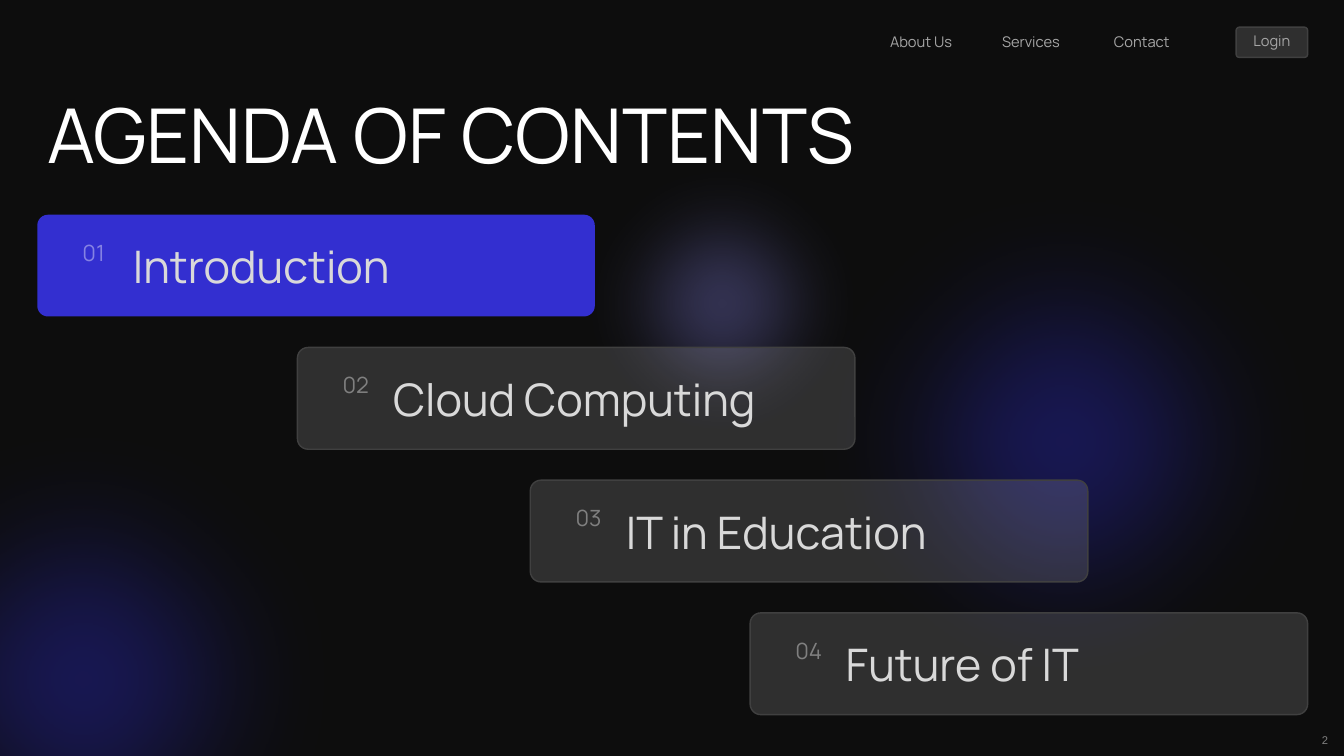
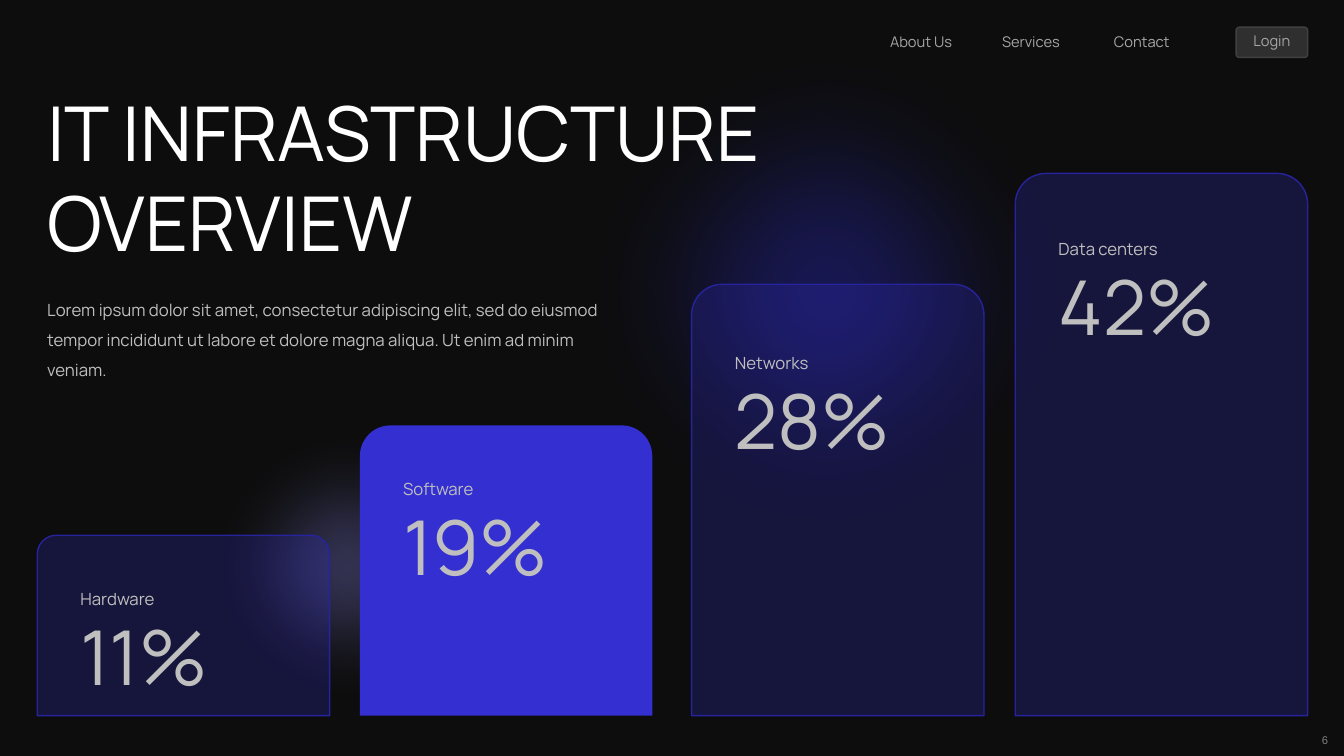
from lxml.etree import SubElement
from pptx import Presentation
from pptx.dml.color import RGBColor
from pptx.enum.shapes import MSO_SHAPE
from pptx.enum.text import MSO_AUTO_SIZE, PP_ALIGN
from pptx.oxml.ns import qn
from pptx.util import Inches, Pt

BACKGROUND = RGBColor(0x0D, 0x0D, 0x0D)
WHITE = RGBColor(0xFF, 0xFF, 0xFF)
BLUE = RGBColor(0x33, 0x2F, 0xD0)
DEEP_BLUE = RGBColor(0x26, 0x23, 0x9C)
LAVENDER = RGBColor(0x85, 0x82, 0xE3)
GLASS = RGBColor(0xF2, 0xF2, 0xF2)
GLASS_EDGE = RGBColor(0x40, 0x40, 0x40)
CARD_TEXT = RGBColor(0xD9, 0xD9, 0xD9)
BODY_TEXT = RGBColor(0xBF, 0xBF, 0xBF)
NAV_TEXT = RGBColor(0xA6, 0xA6, 0xA6)
CARD_NUMBER = RGBColor(0x80, 0x80, 0x80)
PAGE_NUMBER = RGBColor(0x7F, 0x7F, 0x7F)

FONT = "Manrope"
MARGIN = 0.37
CORNER = 0.105

CARD_WIDTH, CARD_HEIGHT = 5.53, 1.01
FIRST_CARD_TOP, LAST_CARD_TOP = 2.13, 6.08
BAR_WIDTH, BAR_BOTTOM = 2.9, 7.1


class Deck:
    def __init__(self):
        self.presentation = Presentation()
        self.presentation.slide_width = Inches(13.33)
        self.presentation.slide_height = Inches(7.5)
        self.slide = None

    def start_slide(self, page):
        """Add a slide with the shared background, header and page number."""
        self.slide = self.presentation.slides.add_slide(self.presentation.slide_layouts[6])
        background = self.slide.background.fill
        background.solid()
        background.fore_color.rgb = BACKGROUND

        self.glass_panel(12.26, 0.27, 0.71, 0.3)
        for index, entry in enumerate(("About Us", "Services", "Contact")):
            self.text(entry, 8.73 + 1.11 * index, 0.28, 0.87, 0.29, 10.5, NAV_TEXT)
        self.text("Login", 12.26, 0.27, 0.71, 0.29, 10.5, NAV_TEXT, PP_ALIGN.CENTER)
        self.text(page, 12.4, 7.23, 0.87, 0.24, 8, PAGE_NUMBER, PP_ALIGN.RIGHT, font="Arial")

    def shape(self, preset, left, top, width, height, color, opacity=100,
              edge=None, corners=()):
        shape = self.slide.shapes.add_shape(
            preset, Inches(left), Inches(top), Inches(width), Inches(height))
        for index, corner in enumerate(corners):
            shape.adjustments[index] = corner
        shape.shadow.inherit = False
        shape.fill.solid()
        shape.fill.fore_color.rgb = color
        if opacity < 100:
            fill_color = shape._element.spPr.find(qn("a:solidFill")).find(qn("a:srgbClr"))
            SubElement(fill_color, qn("a:alpha")).set("val", str(opacity * 1000))
        if edge is None:
            shape.line.fill.background()
        else:
            shape.line.color.rgb = edge
            shape.line.width = Pt(1)
        return shape

    def glass_panel(self, left, top, width, height):
        self.shape(MSO_SHAPE.ROUNDED_RECTANGLE, left, top, width, height,
                   GLASS, 15, GLASS_EDGE, [CORNER])

    def glow(self, left, top, size, color, opacity, softness):
        """Draw a translucent disc that fades out towards its rim."""
        disc = self.shape(MSO_SHAPE.OVAL, left, top, size, size, color, opacity)
        effects = disc._element.spPr.find(qn("a:effectLst"))
        SubElement(effects, qn("a:softEdge")).set("rad", str(Pt(softness)))

    def blue_glow(self, left, top):
        self.glow(left, top, 6.23, DEEP_BLUE, 52, 100)

    def lavender_glow(self, left, top):
        self.glow(left, top, 3.58, LAVENDER, 37, 60)

    def text(self, content, left, top, width, height, size, color,
             alignment=PP_ALIGN.LEFT, font=FONT, line_spacing=None):
        frame = self.slide.shapes.add_textbox(
            Inches(left), Inches(top), Inches(width), Inches(height)).text_frame
        frame.word_wrap = True
        frame.auto_size = MSO_AUTO_SIZE.SHAPE_TO_FIT_TEXT
        paragraph = frame.paragraphs[0]
        paragraph.alignment = alignment
        if line_spacing:
            paragraph.line_spacing = line_spacing
        run = paragraph.add_run()
        run.text = content
        run.font.name = font
        run.font.size = Pt(size)
        run.font.color.rgb = color

    def title(self, content, top, width, height):
        self.text(content, MARGIN, top, width, height, 54, WHITE)

    def agenda_card(self, number, left, top, topic, active):
        if active:
            self.shape(MSO_SHAPE.ROUNDED_RECTANGLE, left, top, CARD_WIDTH, CARD_HEIGHT,
                       BLUE, corners=[CORNER])
        else:
            self.glass_panel(left, top, CARD_WIDTH, CARD_HEIGHT)
        self.text(topic, left + 0.85, top + 0.19, 4.67, 0.64, 32, CARD_TEXT)
        self.text(f"{number:02}", left + 0.35, top + 0.19, 0.5, 0.37, 16,
                  LAVENDER if active else CARD_NUMBER)

    def share_bar(self, left, top, label_top, label, share, active):
        opacity, edge = (100, None) if active else (24, DEEP_BLUE)
        self.shape(MSO_SHAPE.ROUND_2_SAME_RECTANGLE, left, top, BAR_WIDTH, BAR_BOTTOM - top,
                   BLUE, opacity, edge, [CORNER, 0])
        self.text(label, left + 0.33, label_top, 2.57, 0.3, 12, BODY_TEXT)
        self.text(share, left + 0.33, label_top + 0.21, 2.57, 1.01, 54, BODY_TEXT)


def build_agenda(deck):
    deck.start_slide("2")
    deck.title("AGENDA OF CONTENTS", 0.82, 12.6, 1.01)
    deck.blue_glow(7.44, 1.27)
    deck.lavender_glow(5.37, 1.22)
    deck.blue_glow(-2.29, 3.63)
    topics = [
        (MARGIN, "Introduction"),
        (2.95, "Cloud Computing"),
        (5.26, "IT in Education"),
        (7.44, "Future of IT"),
    ]
    pitch = (LAST_CARD_TOP - FIRST_CARD_TOP) / (len(topics) - 1)
    for index, (left, topic) in enumerate(topics):
        deck.agenda_card(index + 1, left, FIRST_CARD_TOP + pitch * index, topic,
                         active=index == 0)


def build_infrastructure(deck):
    deck.start_slide("6")
    deck.blue_glow(5.09, -0.22)
    deck.lavender_glow(1.65, 3.83)
    deck.title("IT INFRASTRUCTURE OVERVIEW", 0.8, 7.84, 1.92)
    deck.text("Lorem ipsum dolor sit amet, consectetur adipiscing elit, sed do eiusmod "
              "tempor incididunt ut labore et dolore magna aliqua. Ut enim ad minim veniam.",
              MARGIN, 2.82, 5.81, 1.01, 12, BODY_TEXT, line_spacing=1.5)
    bars = [
        (MARGIN, 5.31, 5.79, "Hardware", "11%"),
        (3.57, 4.22, 4.7, "Software", "19%"),
        (6.86, 2.82, 3.45, "Networks", "28%"),
        (10.07, 1.72, 2.32, "Data centers", "42%"),
    ]
    for left, top, label_top, label, share in bars:
        deck.share_bar(left, top, label_top, label, share, active=label == "Software")


def main():
    deck = Deck()
    build_agenda(deck)
    build_infrastructure(deck)
    deck.presentation.save("out.pptx")


if __name__ == "__main__":
    main()
